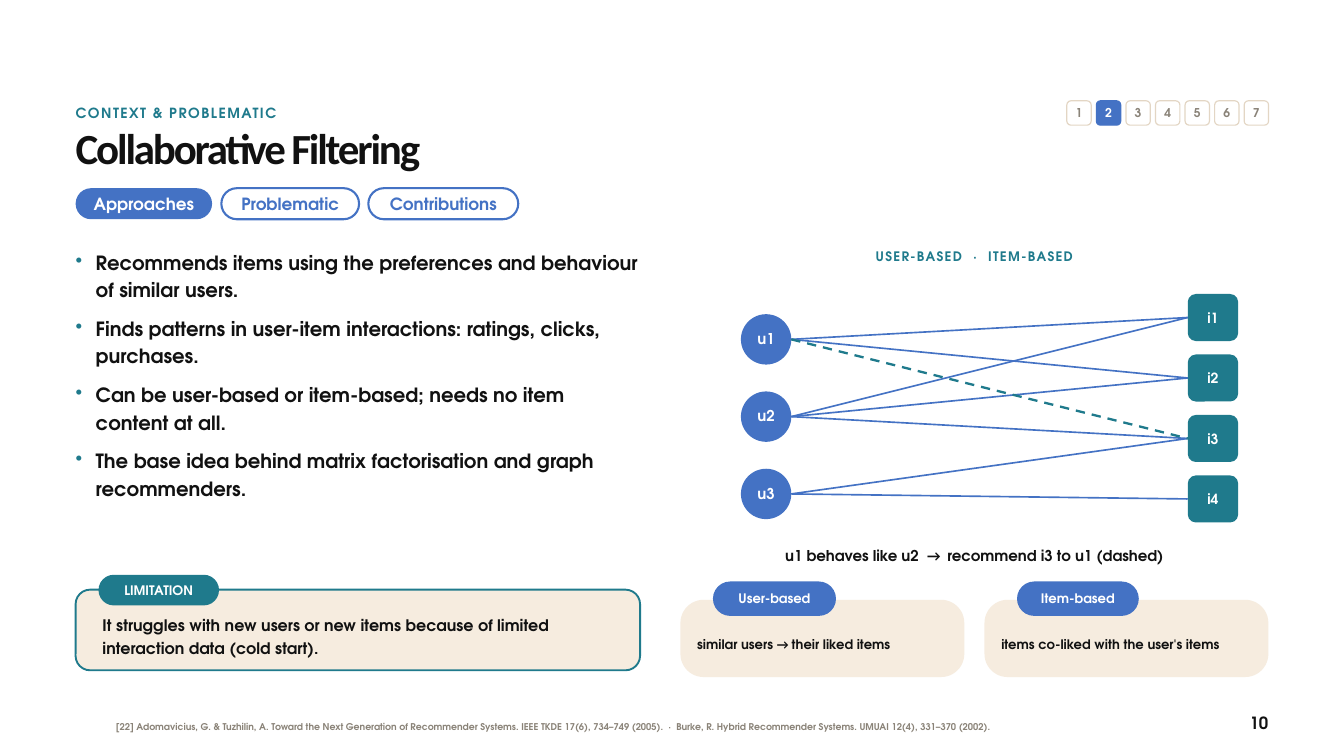
"""Builds the collaborative filtering slide on a grid of 160 columns by 90 rows."""
from dataclasses import dataclass

from lxml import etree
from pptx import Presentation, util as u
from pptx.dml.color import RGBColor
from pptx.enum import dml, shapes, text
from pptx.oxml.ns import qn


@dataclass(frozen=True)
class Theme:
    blue: str = "4472C4"
    teal: str = "1F7A8C"
    sand: str = "F6ECDF"
    edge: str = "E3D6C4"
    grey: str = "8A8378"
    ink: str = "111111"
    white: str = "FFFFFF"
    face: str = "TeX Gyre Adventor"
    plain: str = "Calibri"
    title: int = 46
    list: int = 21
    tab: int = 18
    note: int = 17
    node: int = 16
    label: int = 15
    small: int = 14
    step: int = 13
    foot: int = 10


T = Theme()


@dataclass(frozen=True)
class Box:
    col: float
    row: float
    wide: float
    high: float


@dataclass(frozen=True)
class Type:
    size: float
    lead: float
    ink: str
    side: str = "LEFT"
    mid: bool = False
    track: float = 0
    face: str = T.face


@dataclass(frozen=True)
class Look:
    fill: str | None = None
    line: str | None = None
    width: float = 2.25
    curve: float | None = 0.5


@dataclass(frozen=True)
class Card:
    name: str
    wide: float
    words: tuple[str, ...]


CELL = 20 / 160
LEFT, RIGHT = 9, 81
HALF, FULL = 67.2, 70
TABS = [("Approaches", 16.25), ("Problematic", 16.4), ("Contributions", 17.85)]
POINTS = [
    "Recommends items using the preferences and behaviour of similar users.",
    "Finds patterns in user-item interactions: ratings, clicks, purchases.",
    "Can be user-based or item-based; needs no item content at all.",
    "The base idea behind matrix factorisation and graph recommenders.",
]
LIKES = [(0, 0), (0, 1), (1, 0), (1, 1), (1, 2), (2, 2), (2, 3)]
GUESS = (0, 2)
CARDS = [
    Card("User-based", 14.4, ("similar users ", "→ ", "their liked items")),
    Card("Item-based", 14.25, ("items co-liked with the user's items",)),
]
CITE = ("[22] Adomavicius, G. & Tuzhilin, A. Toward the Next Generation of Recommender "
        "Systems. IEEE TKDE 17(6), 734–749 (2005).  ·  Burke, R. Hybrid Recommender "
        "Systems. UMUAI 12(4), 331–370 (2002).")


def cells(*counts: float) -> list[int]:
    """Turns grid counts into lengths."""
    return [u.Inches(count * CELL) for count in counts]


def place(box: Box) -> list[int]:
    """Gives left, top, width and height of a box."""
    return cells(box.col, box.row, box.wide, box.high)


def style(para, kind: Type) -> None:
    """Formats a paragraph and its runs."""
    para.alignment = getattr(text.PP_ALIGN, kind.side)
    para.line_spacing = u.Pt(kind.lead)
    for run in para.runs:
        font = run.font
        font.size, font.bold = u.Pt(kind.size), True
        font.name = T.plain if run.text.startswith("→") else kind.face
        font.color.rgb = RGBColor.from_string(kind.ink)
        if kind.track:
            run._r.get_or_add_rPr().set("spc", str(round(kind.track * 100)))


def write(shape, kind: Type, *words: str, pad: float = 0) -> None:
    """Writes one paragraph into a shape, one run for each piece."""
    frame = shape.text_frame
    frame.word_wrap = True
    frame.margin_left = frame.margin_right = u.Inches(pad)
    frame.margin_top = frame.margin_bottom = 0
    frame.vertical_anchor = text.MSO_ANCHOR.MIDDLE if kind.mid else text.MSO_ANCHOR.TOP
    for word in words:
        frame.paragraphs[0].add_run().text = word
    style(frame.paragraphs[0], kind)


def label(slide, box: Box, kind: Type, *words: str):
    """Adds a text box."""
    shape = slide.shapes.add_textbox(*place(box))
    write(shape, kind, *words)
    return shape


def panel(slide, box: Box, look: Look):
    """Adds a rounded panel, or a disc where the look has no curve."""
    form = shapes.MSO_SHAPE.OVAL if look.curve is None else shapes.MSO_SHAPE.ROUNDED_RECTANGLE
    shape = slide.shapes.add_shape(form, *place(box))
    shape.shadow.inherit = False
    if look.curve is not None:
        shape.adjustments[0] = look.curve
    for fill, tint in ((shape.fill, look.fill), (shape.line.fill, look.line)):
        if tint:
            fill.solid()
            fill.fore_color.rgb = RGBColor.from_string(tint)
        else:
            fill.background()
    if look.line:
        shape.line.width = u.Pt(look.width)
    return shape


def badge(slide, box: Box, tint: str, name: str) -> None:
    """Adds a filled pill with a short name."""
    kind = Type(T.small, 16.8, T.white, "CENTER", True)
    write(panel(slide, box, Look(tint, tint)), kind, name, pad=0.05)


def link(slide, start: Box, end: Box, tint: str, width: float, dash: bool = False) -> None:
    """Joins the right of one box to the left of the next."""
    ends = cells(start.col + start.wide, start.row + start.high / 2,
                 end.col, end.row + end.high / 2)
    line = slide.shapes.add_connector(shapes.MSO_CONNECTOR.STRAIGHT, *ends)
    line.line.color.rgb = RGBColor.from_string(tint)
    line.line.width = u.Pt(width)
    if dash:
        line.line.dash_style = dml.MSO_LINE.DASH
    etree.SubElement(line._element.spPr, qn("a:effectLst"))


def points(slide, box: Box, kind: Type) -> None:
    """Adds the bullet list."""
    frame = label(slide, box, kind).text_frame
    frame.text = "\n".join(POINTS)
    for rank, para in enumerate(frame.paragraphs):
        if rank:
            para.space_before = u.Pt(12)
        style(para, kind)
        props = para._p.get_or_add_pPr()
        props.set("marL", str(u.Inches(0.3)))
        props.set("indent", str(-u.Inches(0.3)))
        tint = etree.SubElement(props, qn("a:buClr"))
        etree.SubElement(tint, qn("a:srgbClr"), val=T.teal)
        etree.SubElement(props, qn("a:buChar"), char="•")


def header(slide) -> None:
    """Draws the title, step marks and tabs."""
    label(slide, Box(LEFT, 12.2, 113.2, 2.9), Type(T.label, 20, T.teal, track=1.6),
          "CONTEXT & PROBLEMATIC")
    for step in range(7):
        live = step == 1
        look = Look(T.blue, T.blue, 1.25, 0.17) if live else Look(T.white, T.edge, 1.25, 0.17)
        kind = Type(T.step, 15, T.white if live else T.grey, "CENTER", True)
        write(panel(slide, Box(127 + step * 3.52, 12, 2.9, 2.9), look), kind, str(step + 1))
    label(slide, Box(LEFT, 15, 142, 6.4),
          Type(T.title, 50.6, T.ink, track=-2.3, face=T.plain), "Collaborative Filtering")
    col = LEFT
    for name, wide in TABS:
        live = col == LEFT
        look = Look(fill=T.blue) if live else Look(line=T.blue)
        kind = Type(T.tab, 21.6, T.white if live else T.blue, "CENTER", True)
        write(panel(slide, Box(col, 22.4, wide, 3.7), look), kind, name, pad=0.05)
        col += wide + 1.1


def graph(slide) -> None:
    """Draws users, items and the links between them."""
    label(slide, Box(RIGHT, 29.4, FULL, 3.2), Type(T.small, 18, T.teal, "CENTER", track=1.4),
          "USER-BASED  ·  ITEM-BASED")
    users = [Box(88.2, 37.4 + 9.2 * row, 6, 6) for row in range(3)]
    items = [Box(141.4, 35 + 7.2 * row, 6, 5.6) for row in range(4)]
    for sign, boxes, look, size, lead in (
            ("u", users, Look(T.blue, curve=None), T.node, 17.6),
            ("i", items, Look(T.teal, curve=0.17), T.label, 18)):
        for rank, box in enumerate(boxes, 1):
            kind = Type(size, lead, T.white, "CENTER", True)
            write(panel(slide, box, look), kind, f"{sign}{rank}")
    for user, item in LIKES:
        link(slide, users[user], items[item], T.blue, 1.75)
    link(slide, users[GUESS[0]], items[GUESS[1]], T.teal, 2.5, dash=True)
    label(slide, Box(RIGHT, 65, FULL, 3.6), Type(T.node, 20, T.ink, "CENTER"),
          "u1 behaves like u2  ", "→  ", "recommend i3 to u1 (dashed)")


def cards(slide) -> None:
    """Draws the limit box and the two method cards."""
    panel(slide, Box(LEFT, 70.2, HALF, 9.6), Look(T.sand, T.teal, 2, 0.18))
    badge(slide, Box(11.85, 68.55, 14.1, 3.4), T.teal, "LIMITATION")
    label(slide, Box(12.2, 72.6, 60.8, 6), Type(T.note, 23.8, T.ink, mid=True),
          "It struggles with new users or new items because of limited "
          "interaction data (cold start).")
    for rank, card in enumerate(CARDS):
        col = RIGHT + 36.2 * rank
        panel(slide, Box(col, 71.4, 33.8, 9.2), Look(T.sand, curve=0.3))
        badge(slide, Box(col + 4, 69.35, card.wide, 3.85), T.blue, card.name)
        label(slide, Box(col + 2, 75.4, 29.8, 4), Type(T.small, 19.6, T.ink), *card.words)


def main() -> None:
    """Builds and saves the slide."""
    deck = Presentation()
    deck.slide_width, deck.slide_height = cells(160, 90)
    slide = deck.slides.add_slide(deck.slide_layouts[6])
    label(slide, Box(13.8, 84, 126.8, 5), Type(T.foot, 12, T.grey, mid=True), CITE)
    label(slide, Box(141.4, 84.8, 9.6, 2.9), Type(T.tab, 22, T.ink, "RIGHT"), "10")
    header(slide)
    points(slide, Box(LEFT, 29.4, HALF, 38.4), Type(T.list, 29.4, T.ink))
    graph(slide)
    cards(slide)
    deck.save("out.pptx")


if __name__ == "__main__":
    main()
